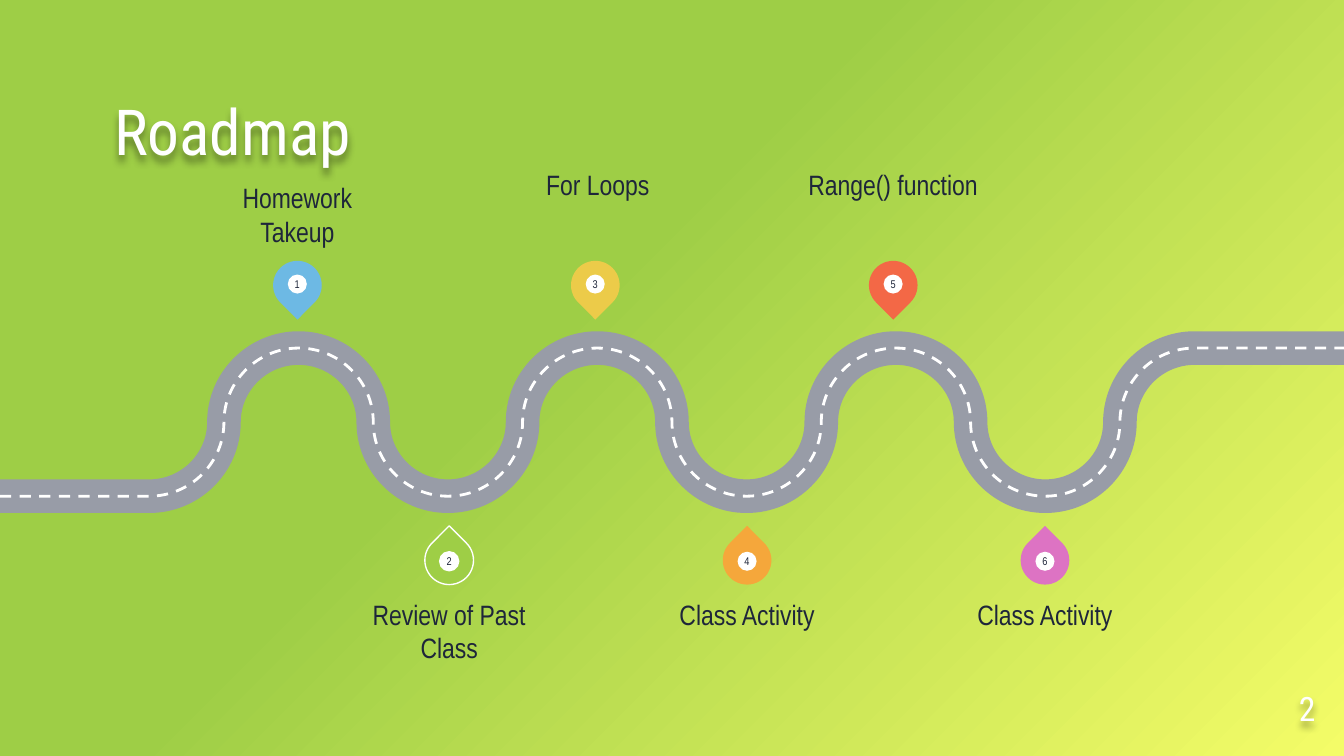
from dataclasses import dataclass
from math import cos, pi

from lxml.etree import SubElement
from pptx import Presentation
from pptx.dml.color import RGBColor as RGB
from pptx.enum.dml import MSO_LINE
from pptx.enum.shapes import MSO_SHAPE as SHAPE
from pptx.enum.text import MSO_ANCHOR as ANCHOR, PP_ALIGN as ALIGN
from pptx.oxml.ns import qn
from pptx.util import Cm, Pt


@dataclass(frozen=True)
class Theme:
    green: str = "9ECE46"
    yellow: str = "F4FC68"
    road: str = "989CA7"
    white: str = "FFFFFF"
    ink: str = "1E263A"
    heading_font: str = "Roboto Condensed"
    body_font: str = "Arial Narrow"
    title_size: int = 34
    page_size: int = 18
    label_size: int = 15
    number_size: int = 6


THEME = Theme()
WIDTH, HEIGHT = 25.4, 14.29
RADIUS = WIDTH / 18  # the road is 18 bend radii long
ROAD_MID, ROAD_RISE = 7.98, 1.4
BEND = 0.55  # handle length of a quarter circle
PIN, DOT, PIN_PITCH = 0.92, 0.36, 5.63
LABEL_W = 3.56

# Pin colour, label, label top, height, anchor and shift; crest and trough alternate
STOPS = [
    ("6DB9E4", "Homework Takeup", 3.22, 1.47, ANCHOR.BOTTOM, 0),
    (THEME.green, "Review of Past Class", 11.29, 1.47, ANCHOR.TOP, 0),
    ("ECCB49", "For Loops", 3.16, 1.47, ANCHOR.TOP, 0.05),
    ("F5A73B", "Class Activity", 11.29, 1.47, ANCHOR.TOP, 0),
    ("F36846", "Range() function", 3.16, 1.27, ANCHOR.TOP, 0),
    ("DD73C3", "Class Activity", 11.29, 1.47, ANCHOR.TOP, 0),
]


def write(sp, text, size, font, color, align=ALIGN.CENTER, anchor=ANCHOR.TOP, spacing=1.0):
    tf = sp.text_frame
    frame = dict(word_wrap=True, vertical_anchor=anchor, margin_left=0,
                 margin_right=0, margin_top=0, margin_bottom=0)
    for name, value in frame.items():
        setattr(tf, name, value)
    p = tf.paragraphs[0]
    p.alignment, p.line_spacing = align, spacing
    r = p.add_run()
    r.text = text
    for name, value in dict(size=Pt(size), name=font).items():
        setattr(r.font, name, value)
    r.font.color.rgb = RGB.from_string(color)


def add_text(s, box, text, size, font, color, **layout):
    sp = s.shapes.add_textbox(*map(Cm, box))
    write(sp, text, size, font, color, **layout)
    return sp


def add_shadow(sp):
    """An unfilled box casts the shadow of its text."""
    sp.shadow.inherit = False
    effects = sp.element.spPr.find(qn("a:effectLst"))
    shadow = SubElement(effects, qn("a:outerShdw"), blurRad="50800", dist="38100",
                        dir="5400000", algn="t", rotWithShape="0")
    black = SubElement(shadow, qn("a:srgbClr"), val="000000")
    SubElement(black, qn("a:alpha"), val="40000")


def paint_background(s):
    fill = s.background.fill
    fill.gradient()
    fill.gradient_angle = 315
    stops = [(0.42, THEME.green), (1, THEME.yellow)]
    for stop, (position, color) in zip(fill.gradient_stops, stops):
        stop.position = position
        stop.color.rgb = RGB.from_string(color)


def round_bends(sp):
    """Turn every segment but the first and last into a quarter turn."""
    points = list(sp.element.iter(qn("a:pt")))
    pairs = list(zip(points, points[1:]))[1:-1]
    for i, (start, end) in enumerate(pairs):
        x0, y0 = int(start.get("x")), int(start.get("y"))
        x1, y1 = int(end.get("x")), int(end.get("y"))
        dx, dy = round(BEND * (x1 - x0)), round(BEND * (y1 - y0))
        if i % 2 == 0:
            handles = [(x0 + dx, y0), (x1, y1 - dy)]
        else:
            handles = [(x0, y0 + dy), (x1 - dx, y1)]
        line = end.getparent()
        curve = SubElement(line.getparent(), qn("a:cubicBezTo"))
        for x, y in handles:
            SubElement(curve, qn("a:pt"), x=str(x), y=str(y))
        curve.append(end)
        line.getparent().replace(line, curve)


def add_road(s, color, width, dash=None):
    bends = [(RADIUS * n, ROAD_MID + ROAD_RISE * cos(pi * (n - 2) / 2))
             for n in range(2, 17)]
    ends = [*bends, (WIDTH, ROAD_MID - ROAD_RISE)]
    builder = s.shapes.build_freeform(Cm(0), Cm(ROAD_MID + ROAD_RISE))
    builder.add_line_segments([(Cm(x), Cm(y)) for x, y in ends], close=False)
    sp = builder.convert_to_shape()
    round_bends(sp)
    sp.shadow.inherit = False
    sp.fill.background()
    sp.line.color.rgb = RGB.from_string(color)
    for name, value in dict(width=Pt(width), dash_style=dash).items():
        setattr(sp.line, name, value)


def add_centred(grp, kind, x, y, size, color, outlined):
    sp = grp.shapes.add_shape(kind, Cm(x - size / 2), Cm(y - size / 2), Cm(size), Cm(size))
    sp.shadow.inherit = False
    sp.fill.solid()
    sp.fill.fore_color.rgb = RGB.from_string(color)
    if outlined:
        sp.line.color.rgb = RGB.from_string(THEME.white)
        sp.line.width = Pt(0.75)
    else:
        sp.line.fill.background()
    return sp


def add_pin(s, number, x, color, on_crest):
    pin_y, dot_y, turn = (5.39, 5.37, 135) if on_crest else (10.59, 10.61, 315)
    outlined = color == THEME.green  # same colour as the background
    grp = s.shapes.add_group_shape()
    drop = add_centred(grp, SHAPE.TEAR, x, pin_y, PIN, color, outlined)
    drop.rotation = turn
    dot = add_centred(grp, SHAPE.OVAL, x, dot_y, DOT, THEME.white, outlined)
    write(dot, str(number), THEME.number_size, THEME.body_font, THEME.ink,
          anchor=ANCHOR.MIDDLE)


def main():
    prs = Presentation()
    prs.slide_width, prs.slide_height = Cm(WIDTH), Cm(HEIGHT)
    s = prs.slides.add_slide(prs.slide_layouts[6])
    paint_background(s)

    # Title and page number
    headings = [
        ((2.16, 2.11, 21.08, 1.09), "Roadmap", THEME.title_size, ALIGN.LEFT),
        ((23.34, 12.92, 1.52, 0.86), "2", THEME.page_size, ALIGN.RIGHT),
    ]
    for box, text, size, align in headings:
        sp = add_text(s, box, text, size, THEME.heading_font, THEME.white,
                      align=align, anchor=ANCHOR.BOTTOM, spacing=0.9)
        add_shadow(sp)

    # Road surface and its centre line
    add_road(s, THEME.road, 18)
    add_road(s, THEME.white, 1.5, MSO_LINE.DASH)

    # Numbered stops with labels
    for i, (color, label, top, height, anchor, shift) in enumerate(STOPS):
        on_crest = i % 2 == 0
        x = (5.62 if on_crest else 8.49) + PIN_PITCH * (i // 2)
        add_pin(s, i + 1, x, color, on_crest)
        add_text(s, (x + shift - LABEL_W / 2, top, LABEL_W, height), label,
                 THEME.label_size, THEME.body_font, THEME.ink, anchor=anchor)

    prs.save("out.pptx")


if __name__ == "__main__":
    main()
